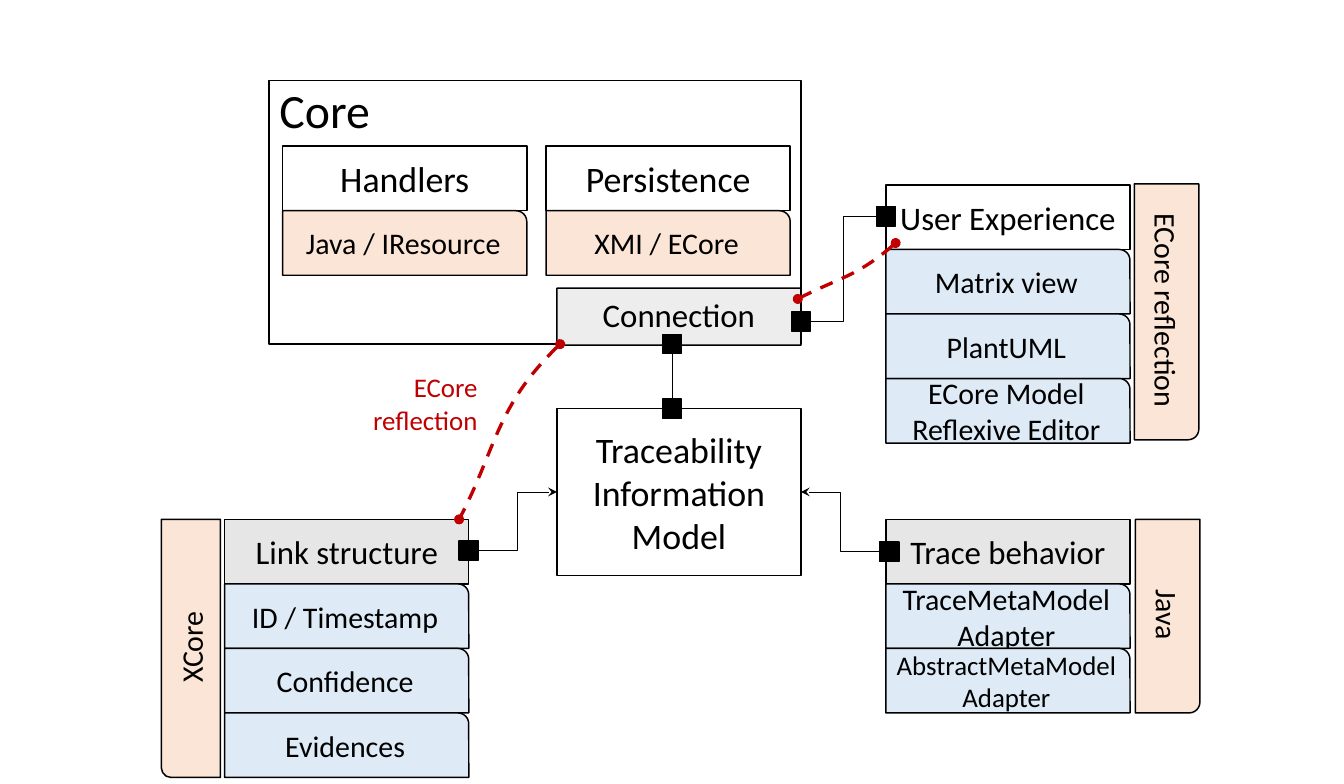
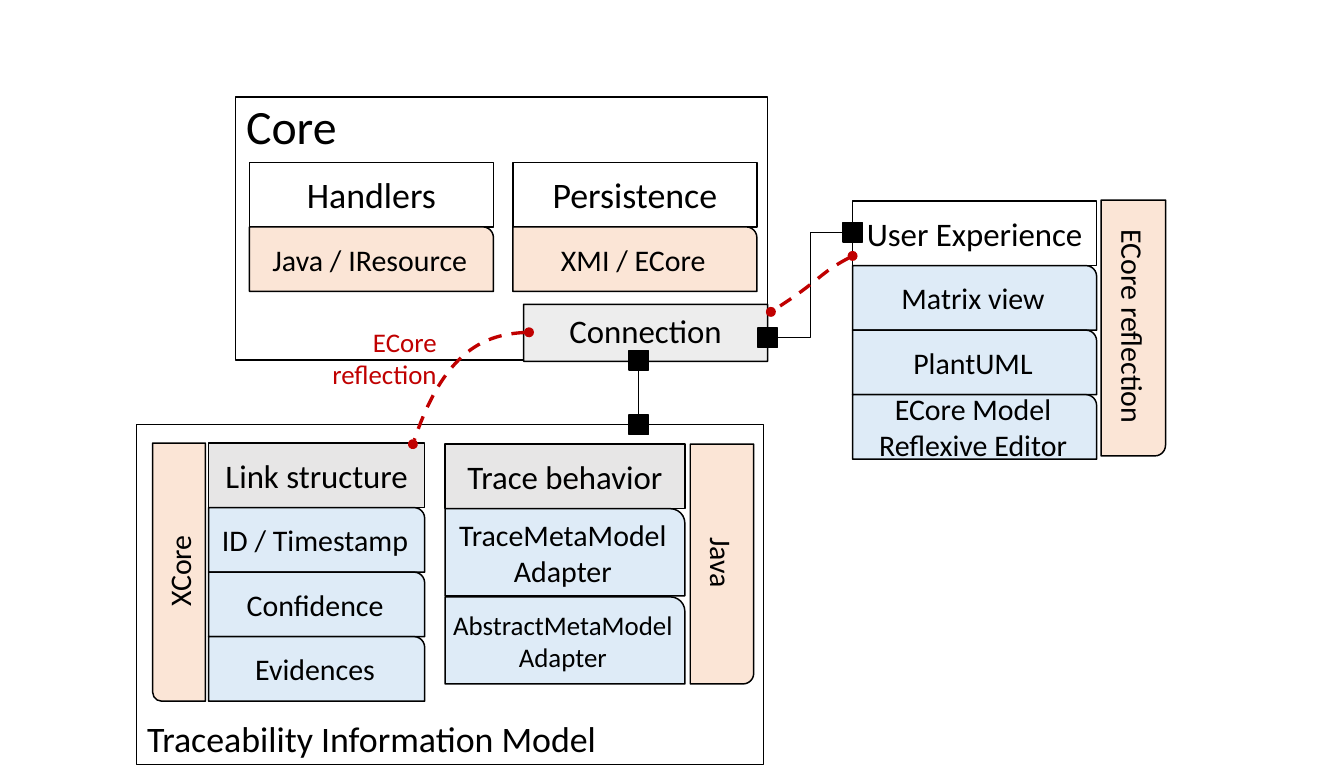
import lxml.etree
import pptx
import pptx.dml.color
import pptx.enum.dml
import pptx.enum.shapes
import pptx.enum.text
import pptx.oxml.ns
import pptx.util

Inches = pptx.util.Inches
SHAPES = pptx.enum.shapes.MSO_SHAPE
CONNECTORS = pptx.enum.shapes.MSO_CONNECTOR
ALIGN = pptx.enum.text.PP_ALIGN
ANCHOR = pptx.enum.text.MSO_ANCHOR
qn = pptx.oxml.ns.qn

COLORS = {
    "ink": "000000",
    "paper": "FFFFFF",
    "feature": "DEEBF7",
    "technology": "FBE5D6",
    "connection": "EDEDED",
    "extension": "E7E6E6",
    "reflection": "C00000",
}
FONT = "Calibri"
ROW = 0.6
CARD = 2.27
PORT = 0.18
TOP, LEFT, BOTTOM, RIGHT = range(4)


def color(name):
    return pptx.dml.color.RGBColor.from_string(COLORS[name])


def write(frame, text, *, size, ink="ink", align=ALIGN.CENTER,
          anchor=ANCHOR.MIDDLE, insets=(0.1, 0.05, 0.1, 0.05)):
    frame.word_wrap = True
    frame.vertical_anchor = anchor
    frame.margin_left, frame.margin_top, frame.margin_right, frame.margin_bottom = map(Inches, insets)
    for index, line in enumerate(text.split("\n")):
        para = frame.add_paragraph() if index else frame.paragraphs[0]
        para.alignment = align
        span = para.add_run()
        span.text = line
        span.font.name = FONT
        span.font.size = pptx.util.Pt(size)
        span.font.color.rgb = color(ink)


class Diagram:
    def __init__(self):
        self.deck = pptx.Presentation()
        self.deck.slide_width = Inches(12.5)
        self.deck.slide_height = Inches(7.29)
        self.page = None

    def new_page(self):
        self.page = self.deck.slides.add_slide(self.deck.slide_layouts[6])

    def outline(self, item, width, ink="ink"):
        item.line.color.rgb = color(ink)
        item.line.width = pptx.util.Pt(width)

    def line_end(self, item, side, kind):
        line = item.line._get_or_add_ln()
        lxml.etree.SubElement(line, qn(f"a:{side}End"), type=kind)

    def block(self, left, top, width, height, fill="paper", text=None,
              shape=SHAPES.RECTANGLE, **style):
        box = self.page.shapes.add_shape(
            shape, Inches(left), Inches(top), Inches(width), Inches(height))
        box.shadow.inherit = False
        box.fill.solid()
        box.fill.fore_color.rgb = color(fill)
        self.outline(box, 1)
        if text:
            write(box.text_frame, text, **style)
        return box

    def rounded(self, *place, **style):
        return self.block(*place, shape=SHAPES.ROUND_1_RECTANGLE, **style)

    def tab(self, left, top, width, height, text, flipped=False):
        box = self.rounded(left + (width - height) / 2, top + (height - width) / 2,
                           height, width, fill="technology", text=text, size=20)
        box.rotation = 90
        if flipped:
            box.element.spPr.find(qn("a:xfrm")).set("flipV", "1")

    def stack(self, left, top, title, rows, width=CARD, title_size=22,
              title_fill="paper", fill="feature", row_height=ROW, gap=0):
        self.block(left, top, width, ROW, fill=title_fill, text=title, size=title_size)
        for index, (text, style) in enumerate(rows):
            row_top = top + ROW + index * (row_height + gap)
            self.rounded(left, row_top, width, row_height, fill=fill, text=text,
                         **{"size": 20, **style})

    def port(self, left, top):
        return self.block(left, top, PORT, PORT, fill="ink")

    def link(self, start, start_site, end, end_site, kind=CONNECTORS.ELBOW, arrow=False):
        wire = self.page.shapes.add_connector(kind, 0, 0, 0, 0)
        wire.begin_connect(start, start_site)
        wire.end_connect(end, end_site)
        self.outline(wire, 0.5)
        lxml.etree.SubElement(wire.element.spPr, qn("a:effectLst"))
        if arrow:
            self.line_end(wire, "tail", "stealth")

    def curve(self, *points):
        start, *others = [(Inches(x), Inches(y)) for x, y in points]
        builder = self.page.shapes.build_freeform(*start)
        builder.add_line_segments(others, close=False)
        arc = builder.convert_to_shape()
        segments = list(arc.element.iter(qn("a:lnTo")))
        bezier = lxml.etree.SubElement(segments[0].getparent(), qn("a:cubicBezTo"))
        for segment in segments:
            bezier.append(segment[0])
            segment.getparent().remove(segment)
        arc.shadow.inherit = False
        arc.fill.background()
        self.outline(arc, 2.25, "reflection")
        arc.line.dash_style = pptx.enum.dml.MSO_LINE.DASH
        for side in ("head", "tail"):
            self.line_end(arc, side, "oval")

    def reflection_label(self, left, top):
        box = self.page.shapes.add_textbox(
            Inches(left), Inches(top), Inches(1.4), Inches(0.71))
        write(box.text_frame, "ECore reflection", size=18, ink="reflection",
              align=ALIGN.RIGHT, anchor=ANCHOR.TOP)

    def core(self, left, top):
        self.stack(left + 5.74, top + 0.97, "User Experience", [
            ("Matrix view", {}),
            ("PlantUML", {}),
            ("ECore Model Reflexive Editor", {}),
        ])
        self.tab(left + 8.05, top + 0.96, ROW, 2.38, "ECore reflection")
        self.block(left, top, 4.95, 2.45, text="Core", size=32, align=ALIGN.LEFT,
                   anchor=ANCHOR.TOP, insets=(0.1, 0, 0.1, 0.05))
        for offset, title, technology in (
                (0.13, "Handlers", "Java / IResource"), (2.58, "Persistence", "XMI / ECore")):
            self.stack(left + offset, top + 0.61, title, [(technology, {})],
                       title_size=24, fill="technology")
        connection = self.rounded(left + 2.68, top + 1.93, CARD, 0.53, fill="connection",
                                  text="Connection", size=22, insets=(0.1, 0, 0.1, 0.05))
        connection.adjustments[0] = 0.01
        bottom_port = self.port(left + 3.66, top + 2.36)
        model_port = self.port(left + 3.66, top + 2.96)
        side_port = self.port(left + 4.86, top + 2.15)
        experience_port = self.port(left + 5.65, top + 1.17)
        self.link(bottom_port, BOTTOM, model_port, TOP, kind=CONNECTORS.STRAIGHT)
        self.link(experience_port, LEFT, side_port, RIGHT)

    def link_structure(self, left, top, width, tab_left, tab_width):
        self.stack(left, top, "Link structure", [
            ("ID / Timestamp", {}),
            ("Confidence", {}),
            ("Evidences", {}),
        ], width=width, title_fill="extension")
        self.tab(tab_left, top, tab_width, 4 * ROW, "XCore", flipped=True)

    def trace_behavior(self, left, top, width, tab_left, tab_width, row_height=ROW, gap=0):
        insets = (0, 0.05, 0, 0.05)
        self.stack(left, top, "Trace behavior", [
            ("TraceMetaModel\nAdapter", {"insets": insets}),
            ("AbstractMetaModel\nAdapter", {"insets": insets, "size": 18}),
        ], width=width, title_fill="extension", row_height=row_height, gap=gap)
        self.tab(tab_left, top, tab_width, ROW + 2 * row_height + gap, "Java")


def separate_model(diagram):
    diagram.new_page()
    model = diagram.block(5.18, 3.8, CARD, 1.55, text="Traceability Information Model", size=24)
    diagram.core(2.5, 0.75)
    diagram.link_structure(2.09, 4.83, CARD, 1.5, 0.55)
    diagram.trace_behavior(8.24, 4.83, CARD, 10.56, ROW)
    diagram.link(diagram.port(4.27, 5.03), RIGHT, model, LEFT, arrow=True)
    diagram.link(diagram.port(8.18, 5.04), LEFT, model, RIGHT, arrow=True)
    diagram.reflection_label(3.14, 3.4)
    diagram.curve((5.21, 3.2), (4.62, 3.76), (4.61, 4.19), (4.27, 4.83))
    diagram.curve((8.33, 2.26), (7.98, 2.57), (7.78, 2.59), (7.42, 2.78))


def enclosing_model(diagram):
    diagram.new_page()
    diagram.block(1.27, 3.95, 5.83, 3.16, text="Traceability Information Model", size=24,
                  align=ALIGN.LEFT, anchor=ANCHOR.BOTTOM)
    diagram.core(2.19, 0.9)
    diagram.link_structure(1.94, 4.12, 2.01, 1.42, 0.49)
    diagram.trace_behavior(4.14, 4.13, 2.23, 6.42, 0.59, row_height=0.81, gap=0.01)
    diagram.reflection_label(2.76, 2.98)
    diagram.curve((4.92, 3.09), (4.56, 3.1), (4.13, 3.24), (3.84, 4.13))
    diagram.curve((7.93, 2.38), (7.6, 2.55), (7.66, 2.59), (7.17, 2.9))


def main():
    diagram = Diagram()
    separate_model(diagram)
    enclosing_model(diagram)
    diagram.deck.save("out.pptx")


if __name__ == "__main__":
    main()
